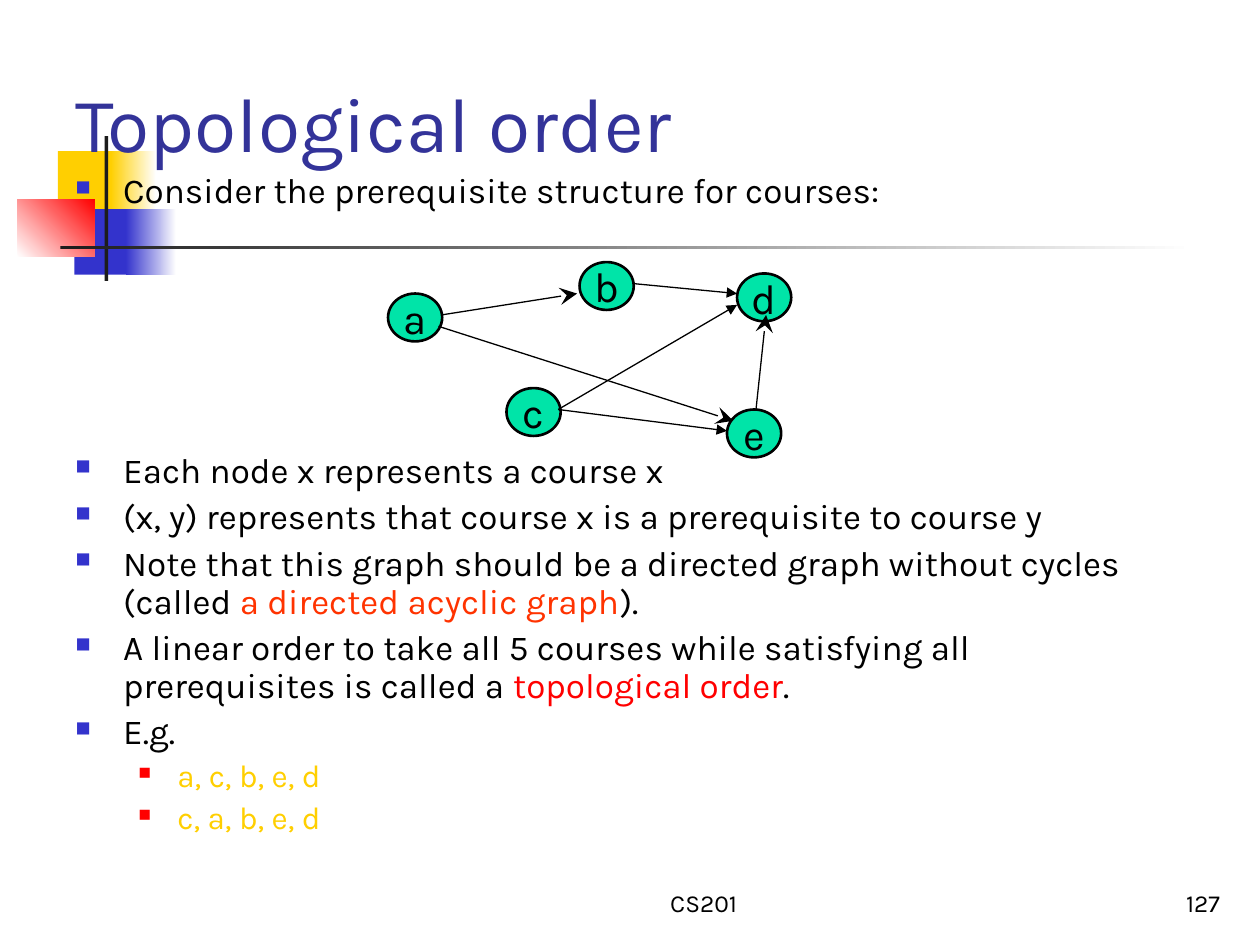
from dataclasses import dataclass

from lxml import etree
from pptx import Presentation
from pptx import util as u
from pptx.dml.color import RGBColor
from pptx.enum import shapes, text
from pptx.oxml.ns import qn


@dataclass(frozen=True)
class Theme:
    font: str = "Karla"
    title_size: int = 44
    body_size: int = 20
    sub_size: int = 18
    node_size: int = 24
    footer_size: int = 14
    black: str = "000000"
    white: str = "FFFFFF"
    title: str = "333399"
    blue: str = "3333CC"
    yellow: str = "FFCF01"
    red: str = "FF0000"
    orange: str = "FF3300"
    rule: str = "1C1C1C"
    node: str = "00E4A8"


@dataclass(frozen=True)
class Block:
    box: tuple[float, float, float, float]
    start: str
    end: str | None = None
    angle: int = 0


@dataclass(frozen=True)
class Node:
    label: str
    left: float
    top: float


@dataclass(frozen=True)
class Edge:
    start: tuple[float, float]
    end: tuple[float, float]
    head: str = "triangle"
    size: str = "med"


@dataclass(frozen=True)
class Level:
    margin: float
    hang: float
    before: float
    size: int
    color: str
    bullet_color: str
    bullet_pct: int


@dataclass(frozen=True)
class Bullet:
    runs: tuple[tuple[str, str | None], ...]
    level: int = 0
    before: float | None = None


T = Theme()
NODE_SIZE = (0.43, 0.38)
GRAPH_GAP = 138

BLOCKS = [
    Block((0.46, 1.2, 0.48, 0.52), T.yellow),
    Block((0.88, 1.2, 0.36, 0.52), T.yellow, T.white),
    Block((0.59, 1.66, 0.46, 0.52), T.blue),
    Block((1, 1.66, 0.4, 0.52), T.blue, T.white),
    Block((0.14, 1.58, 0.61, 0.46), T.white, T.red, 45),
    Block((0.83, 1.08, 0.03, 1.15), T.rule),
    Block((0.48, 1.95, 9, 0.03), T.rule, T.white),
]
NODES = [
    Node("a", 3.08, 2.33),
    Node("b", 4.6, 2.08),
    Node("c", 4.02, 3.08),
    Node("d", 5.85, 2.17),
    Node("e", 5.77, 3.25),
]
EDGES = [
    Edge((5.02, 2.25), (5.85, 2.33)),
    Edge((4.43, 3.25), (5.77, 3.42)),
    Edge((4.43, 3.25), (5.85, 2.42)),
    Edge((3.5, 2.5), (4.58, 2.33), "stealth", "lg"),
    Edge((6, 3.25), (6.08, 2.5), "stealth", "lg"),
    Edge((3.48, 2.59), (5.82, 3.34), "stealth", "lg"),
]
LEVELS = [
    Level(0.38, 0.38, 5, T.body_size, T.black, T.blue, 60),
    Level(0.81, 0.31, 4.5, T.sub_size, T.yellow, T.red, 55),
]
BULLETS = [
    Bullet((("Consider the prerequisite structure for courses:", None),)),
    Bullet((("Each node x represents a course x", None),), before=GRAPH_GAP),
    Bullet((("(x, y) represents that course x is a prerequisite to course y", None),)),
    Bullet((("Note that this graph should be a directed graph without cycles (called ", None),
            ("a directed acyclic graph", T.orange), (").", None))),
    Bullet((("A linear order to take all 5 courses while satisfying all prerequisites is called a ", None),
            ("topological order", T.red), (".", None))),
    Bullet((("E.g.", None),)),
    Bullet((("a, c, b, e, d", None),), 1),
    Bullet((("c, a, b, e, d", None),), 1),
]


def rgb(color: str) -> RGBColor:
    return RGBColor.from_string(color)


def add_run(p, words: str, size: int, color: str) -> None:
    r = p.add_run()
    r.text = words
    r.font.name = T.font
    r.font.size = u.Pt(size)
    r.font.color.rgb = rgb(color)


def add_block(s, block: Block) -> None:
    sp = s.shapes.add_shape(shapes.MSO_SHAPE.RECTANGLE, *map(u.Inches, block.box))
    sp.shadow.inherit = False
    sp.line.fill.background()
    if block.end is None:
        sp.fill.solid()
        sp.fill.fore_color.rgb = rgb(block.start)
        return
    sp.fill.gradient()
    sp.fill.gradient_angle = block.angle
    for stop, color in zip(sp.fill.gradient_stops, (block.start, block.end)):
        stop.color.rgb = rgb(color)


def add_box(s, box: tuple[float, float, float, float], anchor):
    tf = s.shapes.add_textbox(*map(u.Inches, box)).text_frame
    tf.word_wrap = True
    tf.vertical_anchor = anchor
    return tf


def add_label(s, box, words: str, size: int, color: str, align) -> None:
    p = add_box(s, box, text.MSO_ANCHOR.BOTTOM).paragraphs[0]
    p.alignment = align
    add_run(p, words, size, color)


def add_bullets(s, box, bullets: list[Bullet]) -> None:
    tf = add_box(s, box, text.MSO_ANCHOR.TOP)
    for i, bullet in enumerate(bullets):
        level = LEVELS[bullet.level]
        p = tf.add_paragraph() if i else tf.paragraphs[0]
        p.level = bullet.level
        p.line_spacing = 0.9
        p.space_before = u.Pt(bullet.before or level.before)
        pPr = p._p.get_or_add_pPr()
        pPr.set("marL", str(u.Inches(level.margin)))
        pPr.set("indent", str(-u.Inches(level.hang)))
        color = etree.SubElement(pPr, qn("a:buClr"))
        etree.SubElement(color, qn("a:srgbClr"), val=level.bullet_color)
        etree.SubElement(pPr, qn("a:buSzPct"), val=str(level.bullet_pct * 1000))
        etree.SubElement(pPr, qn("a:buChar"), char="■")
        for words, accent in bullet.runs:
            add_run(p, words, level.size, accent or level.color)


def add_node(s, node: Node) -> None:
    box = (node.left, node.top, *NODE_SIZE)
    sp = s.shapes.add_shape(shapes.MSO_SHAPE.OVAL, *map(u.Inches, box))
    sp.shadow.inherit = False
    sp.fill.solid()
    sp.fill.fore_color.rgb = rgb(T.node)
    sp.line.color.rgb = rgb(T.black)
    sp.line.width = u.Pt(1.5)
    tf = sp.text_frame
    tf.word_wrap = False
    tf.vertical_anchor = text.MSO_ANCHOR.MIDDLE
    p = tf.paragraphs[0]
    p.alignment = text.PP_ALIGN.CENTER
    add_run(p, node.label, T.node_size, T.black)


def add_edge(s, edge: Edge) -> None:
    cx = s.shapes.add_connector(shapes.MSO_CONNECTOR.STRAIGHT,
                                *map(u.Inches, edge.start + edge.end))
    cx.line.color.rgb = rgb(T.black)
    cx.line.width = u.Pt(0.75)
    etree.SubElement(cx.line._get_or_add_ln(), qn("a:tailEnd"),
                     type=edge.head, w=edge.size, len=edge.size)
    etree.SubElement(cx._element.spPr, qn("a:effectLst"))


def main() -> None:
    prs = Presentation()
    prs.slide_width, prs.slide_height = u.Inches(10), u.Inches(7.5)
    s = prs.slides.add_slide(prs.slide_layouts[6])
    for block in BLOCKS:
        add_block(s, block)
    align = text.PP_ALIGN
    add_label(s, (4, 6.83, 3.17, 0.5), "CS201", T.footer_size, T.black, align.CENTER)
    add_label(s, (7.7, 6.83, 2.08, 0.5), "127", T.footer_size, T.black, align.RIGHT)
    add_label(s, (0.5, 0.25, 9, 1.13), "Topological order", T.title_size, T.title, align.LEFT)
    add_bullets(s, (0.5, 1.33, 9, 5.5), BULLETS)
    for node in NODES:
        add_node(s, node)
    for edge in EDGES:
        add_edge(s, edge)
    prs.save("out.pptx")


if __name__ == "__main__":
    main()
